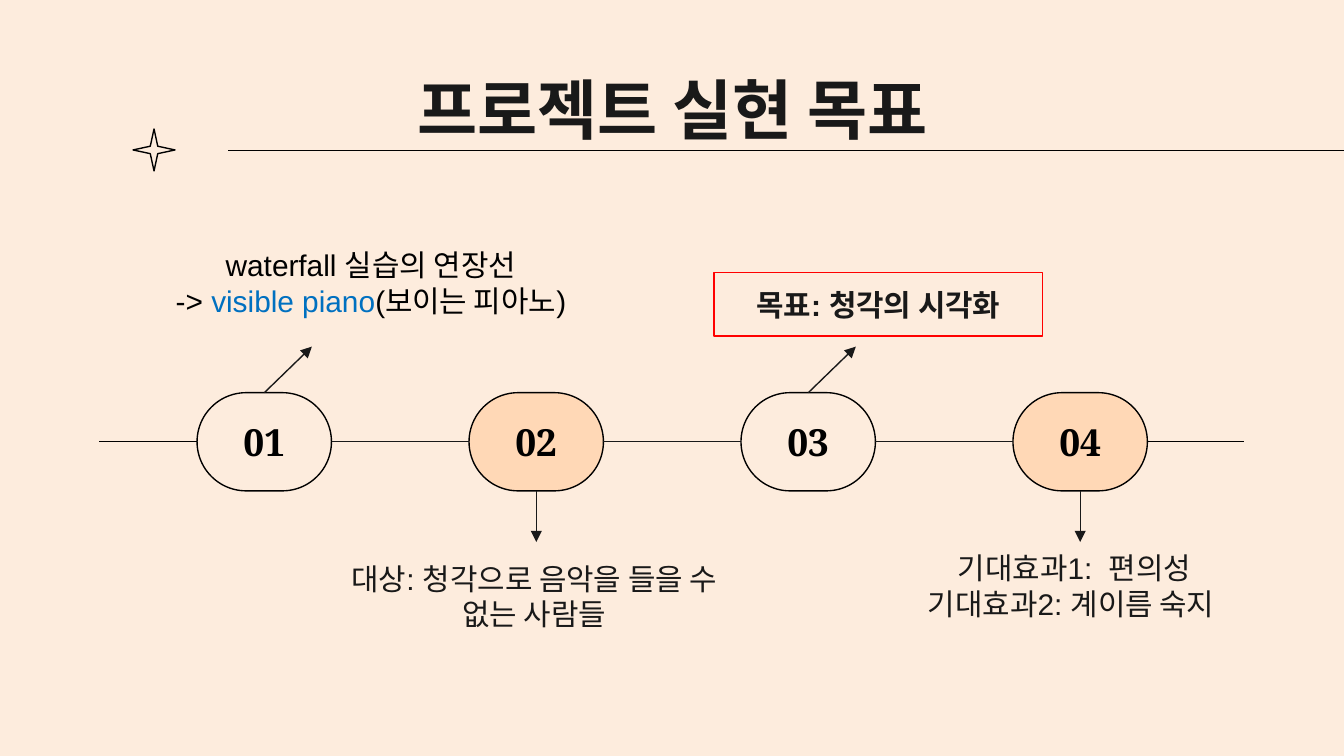
"""Build the project goals slide with a four-step timeline."""
from lxml.etree import SubElement
from pptx import Presentation
from pptx.dml.color import RGBColor
from pptx.enum.shapes import MSO_CONNECTOR, MSO_SHAPE
from pptx.enum.text import MSO_ANCHOR, MSO_AUTO_SIZE, PP_ALIGN
from pptx.oxml.ns import qn
from pptx.util import Pt

BLACK, INK, CREAM, PEACH = "000000", "191919", "FDECDD", "FFD8B6"
BLUE, RED = "0070C0", "FF0000"
TOP, LEFT, BOTTOM, RIGHT = range(4)


def color(value):
    return RGBColor.from_string(value)


def write(box, lines, size, ink, anchor, font="Arial", bold=False, bottom=7.2):
    frame = box.text_frame
    frame.auto_size = MSO_AUTO_SIZE.NONE
    frame.word_wrap = True
    frame.vertical_anchor = anchor
    frame.margin_left = frame.margin_right = frame.margin_top = Pt(7.2)
    frame.margin_bottom = Pt(bottom)
    frame.text = "\n".join(lines)
    for para in frame.paragraphs:
        para.alignment = PP_ALIGN.CENTER
        para.font.name = font
        para.font.size = Pt(size)
        para.font.bold = bold
        para.font.color.rgb = color(ink)


deck = Presentation()
deck.slide_width, deck.slide_height = Pt(720), Pt(405)
page = deck.slides.add_slide(deck.slide_layouts[5])
page.background.fill.solid()
page.background.fill.fore_color.rgb = color(CREAM)
shapes = page.shapes

title = shapes.title
title.left, title.top, title.width, title.height = Pt(56.9), Pt(35.3), Pt(607), Pt(45.4)
write(title, ["프로젝트 실현 목표"], 35, INK, MSO_ANCHOR.MIDDLE, bold=True)

star = shapes.add_shape(MSO_SHAPE.STAR_4_POINT, Pt(71.3), Pt(69.1), Pt(22.5), Pt(22.5))
star.adjustments[0] = 0.125
star.fill.background()
star.line.color.rgb = color(BLACK)

goal = shapes.add_shape(MSO_SHAPE.RECTANGLE, Pt(382.5), Pt(146), Pt(176), Pt(34))
goal.fill.background()
goal.line.color.rgb = color(RED)
write(goal, ["목표: 청각의 시각화"], 16, INK, MSO_ANCHOR.BOTTOM, bold=True)

first_left, step, pill_width, pill_top, pill_height = 105.6, 145.7, 72, 210.4, 52.6
pills = []
for number in range(4):
    pill = shapes.add_shape(MSO_SHAPE.ROUNDED_RECTANGLE, Pt(first_left + number * step),
                            Pt(pill_top), Pt(pill_width), Pt(pill_height))
    pill.adjustments[0] = 0.5
    pill.fill.solid()
    pill.fill.fore_color.rgb = color(PEACH if number % 2 else CREAM)
    pill.line.color.rgb = color(BLACK)
    write(pill, [f"0{number + 1}"], 20, BLACK, MSO_ANCHOR.MIDDLE, "Noto Serif", True)
    pills.append(pill)

for shape in [star, goal, *pills]:
    shape.shadow.inherit = False
    shape.line.width = Pt(0.75)

notes = [
    (54, 105.8, 289.4, 90.7, ["waterfall 실습의 연장선", "-> visible piano(보이는 피아노)"],
     BLACK, MSO_ANCHOR.BOTTOM, 26),
    (178.6, 293, 215.3, 45.4, ["대상: 청각으로 음악을 들을 수 없는 사람들"],
     INK, MSO_ANCHOR.TOP, 7.2),
    (468, 287.3, 215.3, 45.4, ["기대효과1:  편의성", "기대효과2: 계이름 숙지 "],
     INK, MSO_ANCHOR.TOP, 7.2),
]
boxes = []
for left, top, width, height, lines, ink, anchor, bottom in notes:
    box = shapes.add_textbox(Pt(left), Pt(top), Pt(width), Pt(height))
    write(box, lines, 16, ink, anchor, bottom=bottom)
    boxes.append(box)

para = boxes[0].text_frame.paragraphs[1]
para.clear()
for text, ink in [("-> ", BLACK), ("visible piano", BLUE), ("(보이는 피아노)", BLACK)]:
    span = para.add_run()
    span.text = text
    span.font.color.rgb = color(ink)

axis = pill_top + pill_height / 2
lines = [
    ((122.4, 80.6), (720, 80.6), BLACK, False, None, None),
    ((53.3, axis), (first_left, axis), BLACK, False, None, (pills[0], LEFT)),
    ((first_left + 3 * step + pill_width, axis), (666.7, axis), BLACK, False,
     (pills[3], RIGHT), None),
]
for number, pill in enumerate(pills):
    left = first_left + number * step
    middle = left + pill_width / 2
    if number < 3:
        lines.append(((left + pill_width, axis), (left + step, axis), INK, False,
                      (pill, RIGHT), (pills[number + 1], LEFT)))
    if number % 2:
        start = pill_top + pill_height
        lines.append(((middle, start), (middle, start + 27.4), INK, True, (pill, BOTTOM), None))
    else:
        lines.append(((middle, pill_top), (middle + 25.5, pill_top - 24.7), INK, True,
                      (pill, TOP), None))

for start, end, ink, arrow, begin_joint, end_joint in lines:
    line = shapes.add_connector(MSO_CONNECTOR.STRAIGHT, *map(Pt, start + end))
    if begin_joint:
        line.begin_connect(*begin_joint)
    if end_joint:
        line.end_connect(*end_joint)
    line.line.color.rgb = color(ink)
    line.line.width = Pt(0.75)
    if arrow:
        SubElement(line.line._get_or_add_ln(), qn("a:tailEnd"), type="triangle")
    SubElement(line._element.spPr, qn("a:effectLst"))

deck.save("out.pptx")
